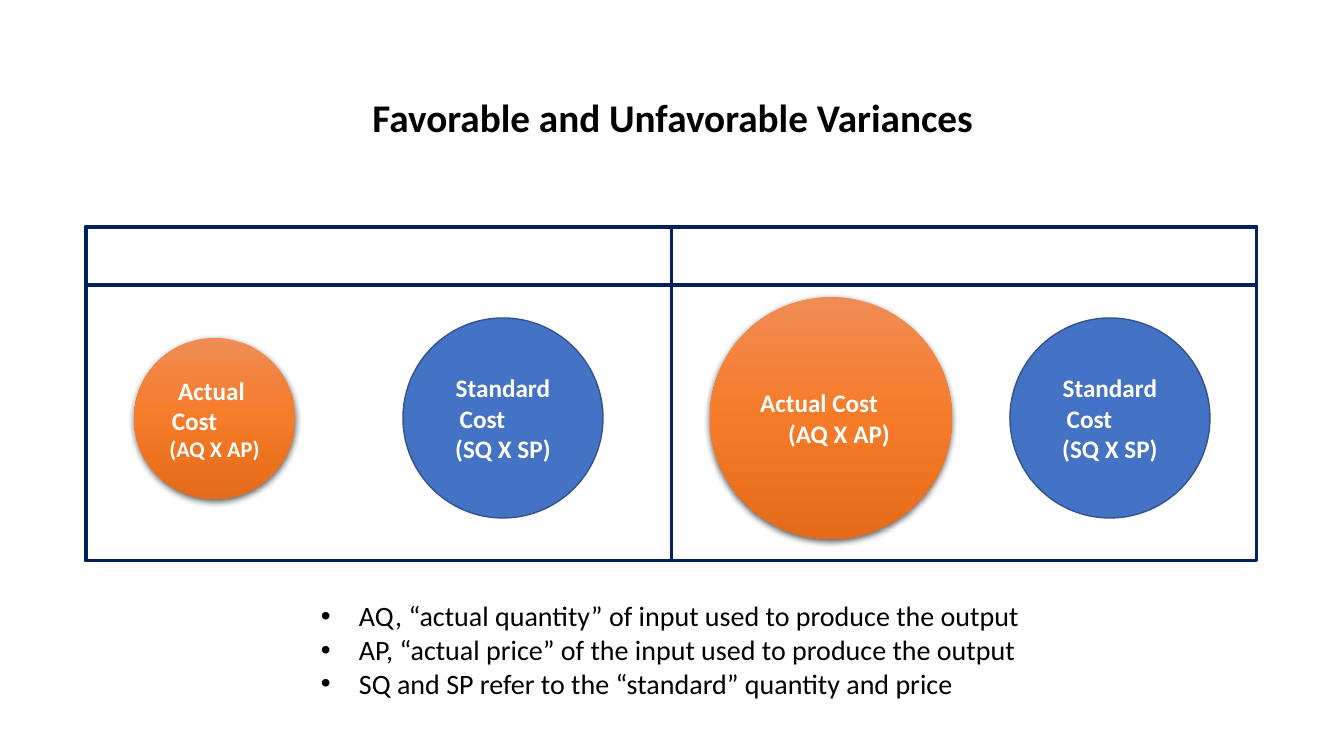
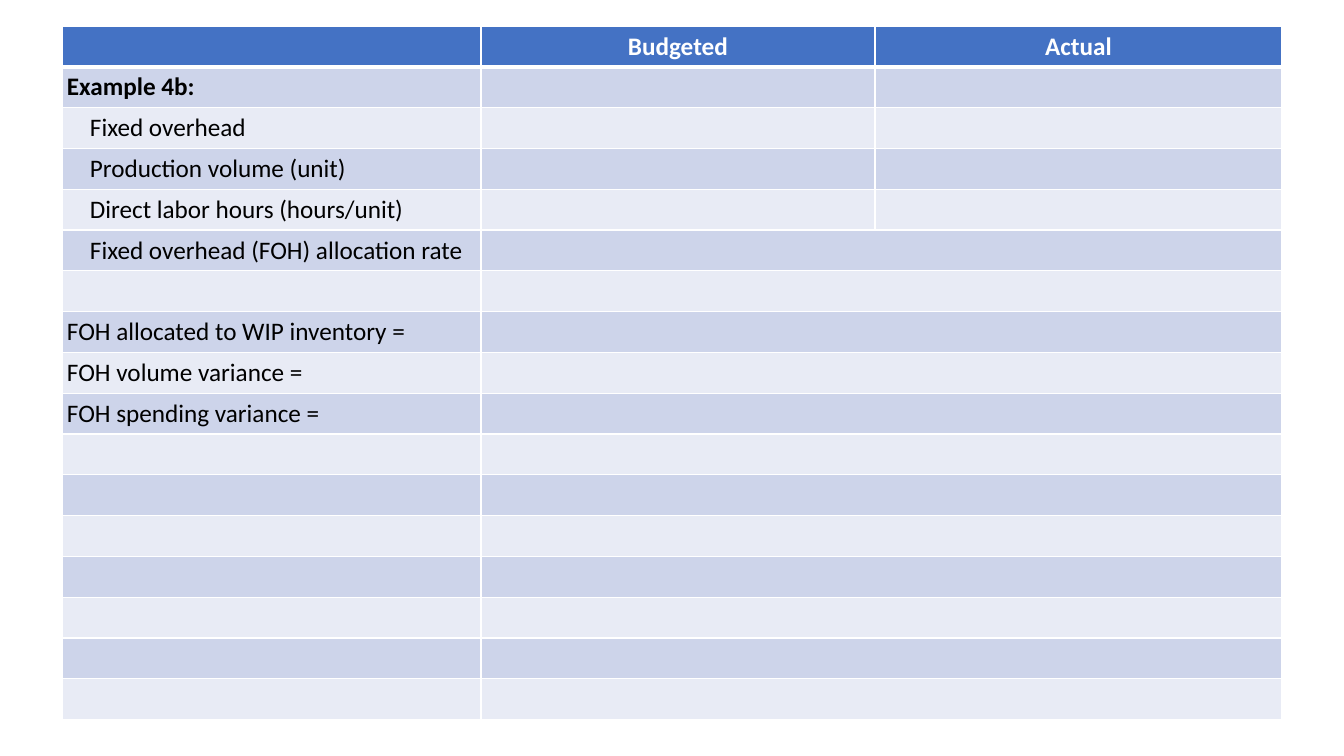
"""Build two slides on cost variances and fixed overhead."""
import copy
import dataclasses
import typing

import lxml.etree
import pptx
import pptx.dml.color
import pptx.enum.shapes
import pptx.enum.text
import pptx.oxml.ns
import pptx.util

qn = pptx.oxml.ns.qn
ALIGN = pptx.enum.text.PP_ALIGN
ANCHOR = pptx.enum.text.MSO_ANCHOR
SHAPE = pptx.enum.shapes.MSO_SHAPE


@dataclasses.dataclass(frozen=True)
class Theme:
    font: str = "Calibri"
    title: int = 28
    bullet: int = 20
    body: int = 18
    small: int = 16
    black: str = "000000"
    white: str = "FFFFFF"
    blue: str = "4472C4"
    outline: str = "32538F"
    navy: str = "002060"
    orange: tuple[str, ...] = ("F18C54", "F67B28", "E46B19")
    bands: tuple[str, ...] = ("CDD4EA", "E8EBF5")
    inset: int = 5


@dataclasses.dataclass(frozen=True)
class Line:
    text: str
    left: int = 0
    right: int = 0
    size: int = 18


@dataclasses.dataclass(frozen=True)
class Circle:
    x: int
    y: int
    d: int
    actual: bool
    lines: tuple[Line, ...]


THEME = Theme()
STANDARD = (Line("Standard"), Line("Cost", right=41), Line("(SQ X SP)"))
CIRCLES = (
    Circle(403, 318, 200, False, STANDARD),
    Circle(1010, 318, 200, False, STANDARD),
    Circle(134, 338, 161, True, (
        Line("Actual", right=6), Line("Cost", right=40), Line("(AQ X AP)", size=THEME.small))),
    Circle(710, 297, 242, True, (
        Line("Actual Cost", right=24), Line("(AQ X AP)", left=16))),
)
BULLETS = (
    "AQ, “actual quantity” of input used to produce the output",
    "AP, “actual price” of the input used to produce the output",
    "SQ and SP refer to the “standard” quantity and price",
)
HEADERS = ("", "Budgeted", "Actual")
ITEMS = (
    Line("Fixed overhead", left=23),
    Line("Production volume (unit)", left=23),
    Line("Direct labor hours (hours/unit)", left=23),
    Line("Fixed overhead (FOH) allocation rate", left=23),
    Line(""),
    Line("FOH allocated to WIP inventory ="),
    Line("FOH volume variance ="),
    Line("FOH spending variance ="),
)
COLUMNS = (419, 394, 407)
ROWS = 17
FIRST_MERGED_ROW = 5


def px(n: int) -> pptx.util.Emu:
    """Turn pixels into EMU."""
    return pptx.util.Emu(round(n * 914400 / 100.8))


def rgb(color: str) -> pptx.dml.color.RGBColor:
    """Turn a hex string into a colour."""
    return pptx.dml.color.RGBColor.from_string(color)


def add_text(tf: typing.Any, text: str, *, size: int = THEME.body, color: str = THEME.black,
             bold: bool = False, align: ALIGN = ALIGN.LEFT, left: int = 0, right: int = 0,
             bullet: bool = False) -> None:
    """Append one formatted paragraph to a text frame."""
    p = tf.add_paragraph() if tf.text else tf.paragraphs[0]
    p.alignment = align
    pPr = p._p.get_or_add_pPr()
    pPr.set("marL", str(px(left)))
    pPr.set("marR", str(px(right)))
    pPr.set("indent", str(px(-left) if bullet else 0))
    if bullet:
        lxml.etree.SubElement(pPr, qn("a:buFont"), typeface="Arial")
        lxml.etree.SubElement(pPr, qn("a:buChar"), char="•")
    r = p.add_run()
    r.text = text
    r.font.name = THEME.font
    r.font.size = pptx.util.Pt(size)
    r.font.bold = bold
    r.font.color.rgb = rgb(color)


def set_insets(box: typing.Any) -> None:
    """Give a text frame or cell the shared margins."""
    box.margin_left = box.margin_right = px(THEME.inset)
    box.margin_top = box.margin_bottom = px(THEME.inset)


def add_box(s: typing.Any, x: int, y: int, w: int, h: int, wrap: bool = True) -> typing.Any:
    """Add a text box and return its text frame."""
    tf = s.shapes.add_textbox(px(x), px(y), px(w), px(h)).text_frame
    set_insets(tf)
    tf.word_wrap = wrap
    return tf


def style_actual(sp: typing.Any) -> None:
    """Give a shape the orange gradient and a soft shadow."""
    sp.fill.gradient()
    sp.fill.gradient_angle = 270
    stops = sp._element.spPr.find(".//" + qn("a:gsLst"))
    stops.insert(1, copy.deepcopy(stops[0]))
    for i, (stop, color) in enumerate(zip(sp.fill.gradient_stops, THEME.orange)):
        stop.color.rgb = rgb(color)
        stop.position = i / 2
    sp.line.fill.background()
    effects = sp._element.spPr.find(qn("a:effectLst"))
    shadow = lxml.etree.SubElement(effects, qn("a:outerShdw"), blurRad=str(pptx.util.Pt(5)),
                                   dist=str(pptx.util.Pt(1.5)), dir="5400000", rotWithShape="0")
    black = lxml.etree.SubElement(shadow, qn("a:srgbClr"), val=THEME.black)
    lxml.etree.SubElement(black, qn("a:alpha"), val="63000")


def add_circle(s: typing.Any, c: Circle) -> None:
    """Draw one labelled cost circle."""
    sp = s.shapes.add_shape(SHAPE.OVAL, px(c.x), px(c.y), px(c.d), px(c.d))
    sp.shadow.inherit = False
    if c.actual:
        style_actual(sp)
    else:
        sp.fill.solid()
        sp.fill.fore_color.rgb = rgb(THEME.blue)
        sp.line.color.rgb = rgb(THEME.outline)
        sp.line.width = pptx.util.Pt(1)
    tf = sp.text_frame
    set_insets(tf)
    tf.word_wrap = True
    tf.vertical_anchor = ANCHOR.MIDDLE
    for line in c.lines:
        add_text(tf, line.text, size=line.size, color=THEME.white, bold=True,
                 align=ALIGN.CENTER, left=line.left, right=line.right)


def add_frame(s: typing.Any, w: int, h: int) -> None:
    """Outline one part of the comparison grid from its top left corner."""
    sp = s.shapes.add_shape(SHAPE.RECTANGLE, px(86), px(227), px(w), px(h))
    sp.shadow.inherit = False
    sp.fill.background()
    sp.line.color.rgb = rgb(THEME.navy)
    sp.line.width = pptx.util.Pt(2.25)


def set_borders(cell: typing.Any, bottom: int, top: int) -> None:
    """Draw white borders around a cell."""
    tcPr = cell._tc.get_or_add_tcPr()
    for i, (side, width) in enumerate((("L", 1), ("R", 1), ("T", top), ("B", bottom))):
        ln = lxml.etree.Element(qn(f"a:ln{side}"), w=str(pptx.util.Pt(width)))
        fill = lxml.etree.SubElement(ln, qn("a:solidFill"))
        lxml.etree.SubElement(fill, qn("a:srgbClr"), val=THEME.white)
        tcPr.insert(i, ln)


def add_variance_slide(prs: typing.Any) -> None:
    """Compare favorable and unfavorable variances."""
    s = prs.slides.add_slide(prs.slide_layouts[6])
    for c in CIRCLES:
        add_circle(s, c)
    for w, h in ((1171, 334), (1171, 58), (586, 334)):
        add_frame(s, w, h)
    tf = add_box(s, 316, 594, 713, 105)
    for text in BULLETS:
        add_text(tf, text, size=THEME.bullet, left=38, bullet=True)
    add_text(add_box(s, 366, 88, 613, 49, wrap=False), "Favorable and Unfavorable Variances",
             size=THEME.title, bold=True, align=ALIGN.CENTER)


def add_overhead_slide(prs: typing.Any) -> None:
    """Lay out the fixed overhead worksheet."""
    s = prs.slides.add_slide(prs.slide_layouts[6])
    height = px(694)
    table = s.shapes.add_table(ROWS, len(COLUMNS), px(62), px(26), px(sum(COLUMNS)), height).table
    for column, w in zip(table.columns, COLUMNS):
        column.width = px(w)
    for i, row in enumerate(table.rows):
        row.height = height // ROWS
        for cell in row.cells:
            set_insets(cell)
            cell.vertical_anchor = ANCHOR.BOTTOM
            cell.fill.solid()
            cell.fill.fore_color.rgb = rgb(THEME.bands[(i - 1) % 2] if i else THEME.blue)
            set_borders(cell, bottom=1 if i else 3, top=3 if i == 1 else 1)
        if i >= FIRST_MERGED_ROW:
            table.cell(i, 1).merge(table.cell(i, 2))
    for j, text in enumerate(HEADERS):
        if text:
            add_text(table.cell(0, j).text_frame, text, color=THEME.white, bold=True,
                     align=ALIGN.CENTER)
    add_text(table.cell(1, 0).text_frame, "Example 4b:", bold=True)
    for i, item in enumerate(ITEMS, 2):
        if item.text:
            add_text(table.cell(i, 0).text_frame, item.text, left=item.left)


def main() -> None:
    """Build and save the presentation."""
    prs = pptx.Presentation()
    prs.slide_width, prs.slide_height = px(1344), px(756)
    add_variance_slide(prs)
    add_overhead_slide(prs)
    prs.save("out.pptx")


if __name__ == "__main__":
    main()
